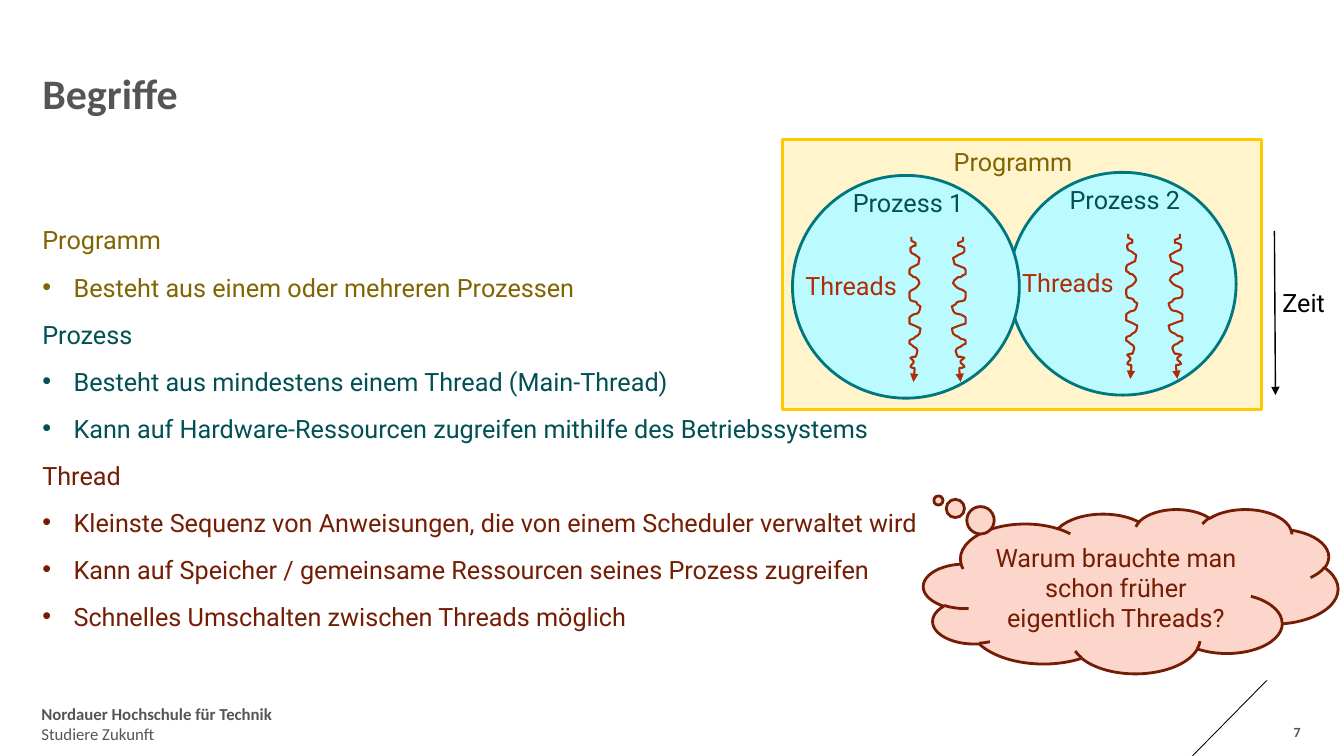
import lxml.etree
import pptx
import pptx.dml.color
import pptx.enum.shapes
import pptx.enum.text
import pptx.oxml.ns
import pptx.util

Inches = pptx.util.Inches
Pt = pptx.util.Pt
SHAPE = pptx.enum.shapes.MSO_SHAPE
ALIGN = pptx.enum.text.PP_ALIGN
ANCHOR = pptx.enum.text.MSO_ANCHOR
FIT = pptx.enum.text.MSO_AUTO_SIZE
qn = pptx.oxml.ns.qn

COLORS = {
    "black": "000000", "grey": "555555",
    "gold": "FFC900", "cream": "FFF4CC", "olive": "806500",
    "teal": "00767E", "aqua": "BBFBFF", "deep": "005055",
    "red": "AF2C05", "rose": "FDD6CB", "brown": "751D04",
}

TERMS = [
    ("Programm", "olive", ["Besteht aus einem oder mehreren Prozessen"]),
    ("Prozess", "deep", [
        "Besteht aus mindestens einem Thread (Main-Thread)",
        "Kann auf Hardware-Ressourcen zugreifen mithilfe des Betriebssystems",
    ]),
    ("Thread", "brown", [
        "Kleinste Sequenz von Anweisungen, die von einem Scheduler verwaltet wird",
        "Kann auf Speicher / gemeinsame Ressourcen seines Prozess zugreifen",
        "Schnelles Umschalten zwischen Threads möglich",
    ]),
]

# Wavy thread, in hundredths of an inch from its top left corner
WAVE = [
    (3, 0), (3, 4), (7, 6), (7, 9), (5, 9), (2, 11), (2, 14), (3, 16),
    (5, 17), (7, 18), (8, 19), (11, 21), (10, 26), (10, 27), (2, 31),
    (1, 33), (1, 37), (3, 38), (4, 39), (5, 40), (7, 40), (9, 42),
    (10, 43), (11, 46), (9, 49), (7, 51), (3, 53), (1, 55), (1, 60),
    (2, 63), (5, 64), (6, 64), (8, 65), (9, 67), (12, 69), (11, 73),
    (10, 75), (9, 76), (5, 77), (2, 79), (1, 80), (1, 86), (6, 88),
    (8, 89), (12, 91), (11, 96), (10, 97), (9, 98), (7, 99), (5, 101),
    (2, 102), (1, 103), (1, 106), (3, 107), (5, 109), (7, 110), (8, 111),
    (9, 113), (8, 117), (7, 119), (5, 119), (2, 120), (5, 123), (5, 125),
    (3, 127), (2, 129), (4, 130), (6, 130), (6, 133), (5, 144),
]


def paint(name):
    return pptx.dml.color.RGBColor.from_string(COLORS[name])


def write(par, text, color="black", size=18, font="Roboto", bold=False,
          align=ALIGN.LEFT, before=0):
    par.alignment = align
    par.space_before = Pt(before)
    run = par.add_run()
    run.text = text
    run.font.name = font
    run.font.size = Pt(size)
    run.font.bold = bold
    run.font.color.rgb = paint(color)


class Page:
    """One slide and the style of its elements."""

    def __init__(self, deck):
        self.slide = deck.slides.add_slide(deck.slide_layouts[1])
        self.shapes = self.slide.shapes

    def place(self, holder, left, top, width, height):
        holder.left, holder.top = Inches(left), Inches(top)
        holder.width, holder.height = Inches(width), Inches(height)
        return self.frame(holder, ANCHOR.TOP)

    def frame(self, shape, anchor):
        frame = shape.text_frame
        frame.margin_left = frame.margin_right = 0
        frame.margin_top = frame.margin_bottom = 0
        frame.vertical_anchor = anchor
        frame.auto_size = FIT.NONE
        frame.word_wrap = True
        return frame

    def title(self, text):
        frame = self.place(self.shapes.title, 0.42, 0.67, 12.5, 0.5)
        write(frame.paragraphs[0], text, "grey", 30, "Calibri", True)

    def terms(self, terms):
        frame = self.place(self.slide.placeholders[1], 0.42, 2.23, 9.16, 4.24)
        for head, color, points in terms:
            for text in [head] + points:
                first = text == terms[0][0]
                par = frame.paragraphs[0] if first else frame.add_paragraph()
                write(par, text, color, before=12)
                props = par._p.get_or_add_pPr()
                dent = 0 if text == head else Inches(0.31)
                props.set("marL", str(dent))
                props.set("indent", str(-dent))
                if text == head:
                    lxml.etree.SubElement(props, qn("a:buNone"))

    def shape(self, kind, box, fill, line=None, home=None):
        home = self.shapes if home is None else home
        shape = home.add_shape(kind, *map(Inches, box))
        shape.shadow.inherit = False
        shape.fill.solid()
        shape.fill.fore_color.rgb = paint(fill)
        if line:
            shape.line.color.rgb = paint(line)
            shape.line.width = Pt(2)
        else:
            shape.line.fill.background()
        return shape

    def label(self, text, box, color, home=None):
        home = self.shapes if home is None else home
        label = home.add_textbox(*map(Inches, box))
        label.text_frame.word_wrap = False
        write(label.text_frame.paragraphs[0], text, color)

    def note(self, lines, box, **style):
        """Small grey text; the first line is bold."""
        frame = self.frame(self.shapes.add_textbox(*map(Inches, box)),
                           ANCHOR.MIDDLE)
        for i, text in enumerate(lines):
            par = frame.add_paragraph() if i else frame.paragraphs[0]
            write(par, text, "grey", font="Calibri", bold=i == 0, **style)

    def arrow(self, line, color, width):
        """Style a drawn line and give its end an arrowhead."""
        line.line.color.rgb = paint(color)
        line.line.width = Pt(width)
        edge = line.element.spPr.find(qn("a:ln"))
        lxml.etree.SubElement(edge, qn("a:tailEnd"), type="triangle")

    def link(self, start, end):
        line = self.shapes.add_connector(
            pptx.enum.shapes.MSO_CONNECTOR.STRAIGHT,
            *map(Inches, start + end))
        self.arrow(line, "black", 1)
        lxml.etree.SubElement(line.element.spPr, qn("a:effectLst"))

    def thread(self, home, left, top, scale=1):
        dots = [(Inches(left + scale * x / 100), Inches(top + y / 100))
                for x, y in WAVE]
        form = home.build_freeform(*dots[0])
        form.add_line_segments(dots[1:], close=False)
        wave = form.convert_to_shape()
        wave.shadow.inherit = False
        wave.fill.background()
        self.arrow(wave, "red", 1.5)

    def process(self, name, left, top):
        home = self.shapes.add_group_shape().shapes
        self.shape(SHAPE.OVAL, (left, top, 2.25, 2.21), "aqua", "teal", home)
        self.thread(home, left + 1.15, top + 0.61)
        self.thread(home, left + 1.73, top + 0.61, -1.25)  # mirrored
        self.label(name, (left + 0.5, top + 0.07, 1.32, 0.4), "deep", home)
        self.label("Threads", (left + 0.03, top + 0.89, 1.13, 0.4), "red", home)

    def cloud(self, text, box):
        cloud = self.shape(SHAPE.CLOUD_CALLOUT, box, "rose", "brown")
        cloud.adjustments[0] = -0.464
        cloud.adjustments[1] = -0.552
        cloud.text_frame.word_wrap = True
        cloud.text_frame.vertical_anchor = ANCHOR.MIDDLE
        write(cloud.text_frame.paragraphs[0], text, "brown",
              align=ALIGN.CENTER)


def main():
    deck = pptx.Presentation()
    deck.slide_width, deck.slide_height = Inches(13.33), Inches(7.5)
    page = Page(deck)

    # Footer
    slash = page.shape(SHAPE.PARALLELOGRAM, (11.82, 6.75, 0.75, 0.75), "black")
    slash.adjustments[0] = 0.984
    page.note(["Nordauer Hochschule für Technik", "Studiere Zukunft"],
              (0.41, 6.98, 2.71, 0.4), size=12)
    page.note(["7"], (12.34, 7.18, 0.56, 0.17), size=10, align=ALIGN.RIGHT)

    # Title and terms
    page.title("Begriffe")
    page.terms(TERMS)

    # Program with its processes, and the time axis
    page.shape(SHAPE.RECTANGLE, (7.76, 1.38, 4.75, 2.68), "cream", "gold")
    page.process("Prozess 2", 10.01, 1.71)
    page.process("Prozess 1", 7.86, 1.74)
    page.label("Programm", (9.36, 1.4, 1.38, 0.4), "olive")
    page.link((12.64, 2.29), (12.65, 3.92))
    page.label("Zeit", (12.62, 2.8, 0.65, 0.4), "black")

    # Question
    page.cloud("Warum brauchte man schon früher eigentlich Threads?",
               (9.16, 5.05, 4.11, 1.63))

    deck.save("out.pptx")


if __name__ == "__main__":
    main()
